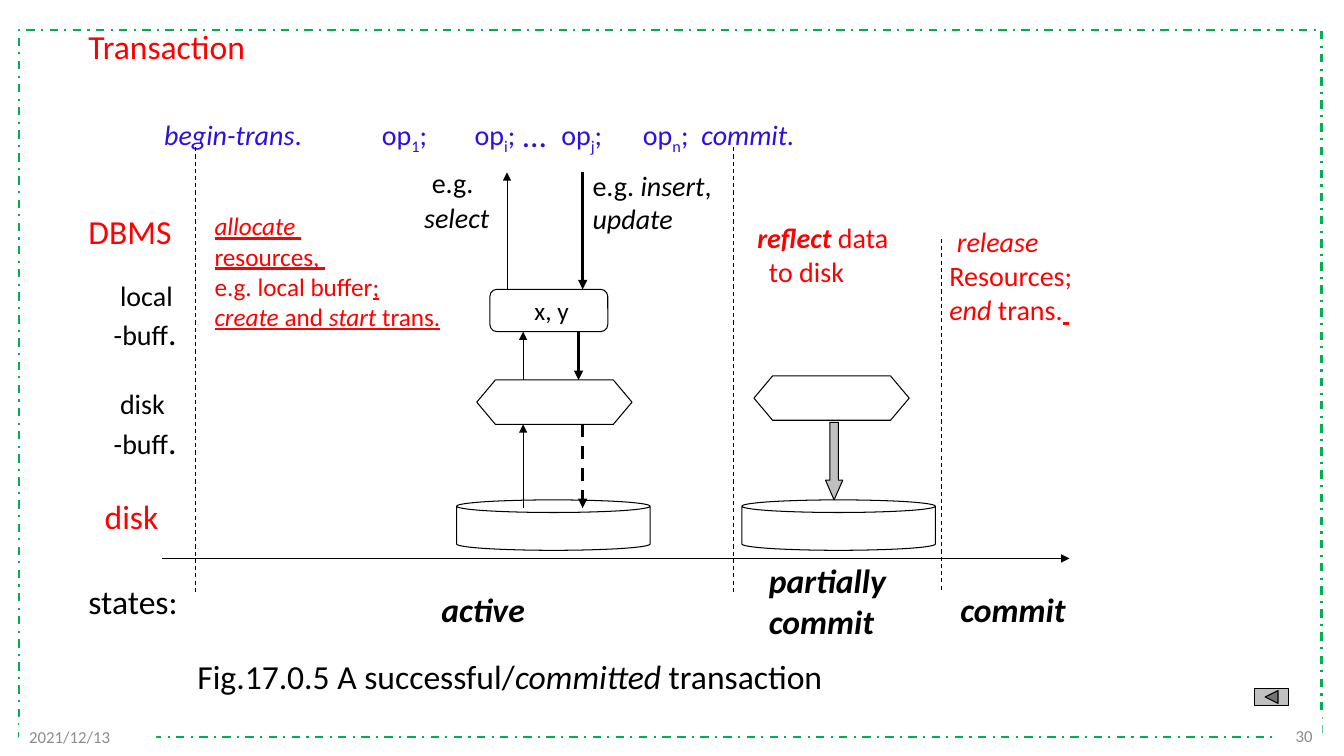
import pptx
import pptx.util
import pptx.dml.color
import pptx.enum.dml
import pptx.enum.shapes
import pptx.enum.text
import pptx.oxml.ns
import lxml.etree

COLUMN = ROW = 0.1
COLUMNS, ROWS = 133.33, 75
COLORS = {
    "ink": "000000", "paper": "FFFFFF", "alert": "FF0000", "operation": "2D0EE4",
    "frame": "00B050", "footer": "8C8C8C", "gray": "C0C0C0",
}
SHAPES = pptx.enum.shapes.MSO_SHAPE
DASHES = pptx.enum.dml.MSO_LINE
ALIGN = pptx.enum.text.PP_ALIGN
ITALIC = {"italic": True}
PLAIN = {}
LINED = {"underline": True}
LINED_ITALIC = {"italic": True, "underline": True}
BOLD_ITALIC = {"bold": True, "italic": True}
LARGE = {"size": 24}


def color(name):
    return pptx.dml.color.RGBColor.from_string(COLORS[name])


def place(columns, rows):
    return pptx.util.Inches(columns * COLUMN), pptx.util.Inches(rows * ROW)


def set_line(line, name, width, dash=None):
    line.color.rgb = color(name)
    line.width = pptx.util.Pt(width)
    if dash:
        line.dash_style = dash


def write(frame, paragraphs, size=20, tint="ink", align=ALIGN.LEFT):
    for index, spans in enumerate(paragraphs):
        para = frame.paragraphs[0] if index == 0 else frame.add_paragraph()
        para.alignment = align
        for text, changes in spans:
            span = para.add_run()
            span.text = text
            values = {"name": "Calibri", "size": size, "color": tint, **changes}
            span.font.color.rgb = color(values.pop("color"))
            values["size"] = pptx.util.Pt(values["size"])
            if values.pop("subscript", False):
                span.font._element.set("baseline", "-25000")
            for key, value in values.items():
                setattr(span.font, key, value)


def add_label(page, at, paragraphs, wrap=False, **style):
    box = page.shapes.add_textbox(*place(*at[:2]), *place(*at[2:]))
    box.text_frame.word_wrap = wrap
    box.text_frame.auto_size = pptx.enum.text.MSO_AUTO_SIZE.SHAPE_TO_FIT_TEXT
    write(box.text_frame, paragraphs, **style)
    return box


def add_block(page, kind, at, fill="paper", line="ink", adjust=()):
    block = page.shapes.add_shape(kind, *place(*at[:2]), *place(*at[2:]))
    block.shadow.inherit = False
    if fill:
        block.fill.solid()
        block.fill.fore_color.rgb = color(fill)
    else:
        block.fill.background()
    if line:
        set_line(block.line, line, 0.75)
    else:
        block.line.fill.background()
    for index, value in enumerate(adjust):
        block.adjustments[index] = value
    block.text_frame.vertical_anchor = pptx.enum.text.MSO_ANCHOR.MIDDLE
    return block


def add_line(page, start, end, width=0.75, dash=None, arrow=True):
    line = page.shapes.add_connector(
        pptx.enum.shapes.MSO_CONNECTOR.STRAIGHT, *place(*start), *place(*end))
    set_line(line.line, "ink", width, dash)
    if arrow:
        tail = lxml.etree.SubElement(line.line._get_or_add_ln(), pptx.oxml.ns.qn("a:tailEnd"))
        tail.set("type", "triangle")
    lxml.etree.SubElement(line._element.spPr, pptx.oxml.ns.qn("a:effectLst"))


def add_frame_and_footer(page):
    frame = add_block(page, SHAPES.RECTANGLE, (1.9, 3, 129.2, 70.1), fill=None)
    set_line(frame.line, "frame", 1.5, DASHES.DASH_DOT)
    for text, at, align in (("30", (126.2, 71, 5, 4), ALIGN.RIGHT),
                            ("2021/12/13", (1.9, 71.1, 13.6, 4), ALIGN.LEFT)):
        footer = add_block(page, SHAPES.RECTANGLE, at, line=None)
        write(footer.text_frame, [[(text, PLAIN)]], size=12, tint="footer", align=align)


def add_headings(page):
    for text, at, tint in (("Transaction", (7.8, 2.1, 17.7, 5), "alert"),
                           ("DBMS", (7.8, 20.4, 10.3, 5), "alert"),
                           ("disk", (9.4, 48.7, 7.6, 5), "alert"),
                           ("states:", (7.8, 57.1, 11.7, 5), "ink")):
        add_label(page, at, [[(text, PLAIN)]], size=24, tint=tint)
    for text, row in ((" local", 27.1), (" disk", 37.9)):
        add_label(page, (10.3, row, 8.4, 8.3),
                  [[(text, PLAIN)], [("-buff", PLAIN), (".", LARGE)]])
    add_label(page, (18.6, 64.6, 64.7, 5), [
        [("Fig.17.0.5 A successful/", PLAIN), ("committed", ITALIC),
         (" transaction", PLAIN)]], size=24)


def add_operations(page):
    top, height = 11.2, 4.4
    for index, left, width in (("1", 36.9, 6.7), ("i", 46.1, 6.1),
                               ("j", 54.7, 6.2), ("n", 62.8, 6.7)):
        add_label(page, (left, top, width, height),
                  [[("op", PLAIN), (index, {"subscript": True}), (";", PLAIN)]],
                  tint="operation")
    add_label(page, (15.3, top, 15.7, height),
              [[("begin-trans", ITALIC), (".", PLAIN)]], tint="operation")
    add_label(page, (68.6, top, 11.4, height), [[("commit.", ITALIC)]], tint="operation")
    add_label(page, (50.9, 10.8, 4.4, 5), [[("…", PLAIN)]], size=24, tint="operation")


def add_notes_on_phases(page):
    add_label(page, (20.3, 20.4, 24.7, 13.1), [
        [("allocate", LINED_ITALIC), (" ", LINED)],
        [("resources, ", LINED)],
        [("e.g. local buffer", PLAIN), (";", LINED)],
        [("create", LINED_ITALIC), (" and ", LINED), ("start", LINED_ITALIC),
         (" trans.", LINED)]], size=18, tint="alert")
    reflect = add_label(page, (73.4, 20.8, 15.9, 8.4), [
        [(" ", LARGE), ("reflect", BOLD_ITALIC), (" data", PLAIN)],
        [("to disk", PLAIN)]], tint="alert")
    indent = reflect.text_frame.paragraphs[1]._p.get_or_add_pPr()
    indent.set("marL", str(pptx.util.Inches(0.19)))
    add_label(page, (93.2, 21.2, 15.6, 11.7), [
        [(" ", LARGE), ("release", ITALIC)],
        [("Resources;", PLAIN)],
        [("end", ITALIC), (" trans.", PLAIN), (" ", LINED)]], tint="alert")
    add_label(page, (57.8, 16.2, 13.9, 7.7), [
        [("e.g. ", PLAIN), ("insert", ITALIC), (",", PLAIN)], [("update", ITALIC)]])
    add_label(page, (41.1, 15.4, 9.2, 8.4), [
        [(" ", LARGE), ("e.g.", PLAIN)], [("select", ITALIC)]], wrap=True)


def add_states(page):
    for lines, at, wrap in ((["active"], (42.8, 57.9, 10.4, 5), False),
                            (["partially", "commit"], (75.3, 55.1, 13.7, 9.1), False),
                            (["commit"], (94.3, 57.9, 13.7, 5), True)):
        add_label(page, at, [[(line, BOLD_ITALIC)] for line in lines], wrap=wrap, size=24)
    add_line(page, (16.1, 55.4), (106.1, 55.4))
    for column, top in ((19.4, 14.6), (72.8, 14.6), (93.4, 23.7)):
        add_line(page, (column, top), (column, 58.7), dash=DASHES.DASH, arrow=False)


def add_storage(page):
    for left in (45.3, 73.6):
        add_block(page, SHAPES.CAN, (left, 49.6, 19.2, 5), adjust=(0.25,))
    for column, start, end in ((50.3, 28.7, 17.1), (51.9, 50.4, 42.1), (51.9, 37.9, 32.9)):
        add_line(page, (column, start), (column, end))
    for column, start, end, dash in ((57.8, 17.1, 28.7, None), (57.4, 32.9, 37.7, None),
                                     (57.8, 42.1, 50.4, DASHES.DASH)):
        add_line(page, (column, start), (column, end), width=2.25, dash=dash)
    for left, top in ((47.3, 37.7), (74.8, 37.3)):
        add_block(page, SHAPES.HEXAGON, (left, top, 15.4, 4.4), adjust=(0.42,))
    buffer = add_block(page, SHAPES.ROUNDED_RECTANGLE, (48.6, 28.7, 11.7, 4.2), adjust=(0.17,))
    buffer.text_frame.word_wrap = False
    write(buffer.text_frame, [[(" x, y", PLAIN)]], size=18, align=ALIGN.CENTER)
    add_block(page, SHAPES.DOWN_ARROW, (81.9, 41.9, 1.7, 7.7), fill="gray", adjust=(0.5, 1.15))
    add_block(page, SHAPES.ACTION_BUTTON_BACK_OR_PREVIOUS, (124.5, 68.3, 3.3, 1.7), fill="gray")


def main():
    deck = pptx.Presentation()
    deck.slide_width, deck.slide_height = place(COLUMNS, ROWS)
    page = deck.slides.add_slide(deck.slide_layouts[6])
    add_frame_and_footer(page)
    add_headings(page)
    add_operations(page)
    add_states(page)
    add_storage(page)
    add_notes_on_phases(page)
    deck.save("out.pptx")


if __name__ == "__main__":
    main()
